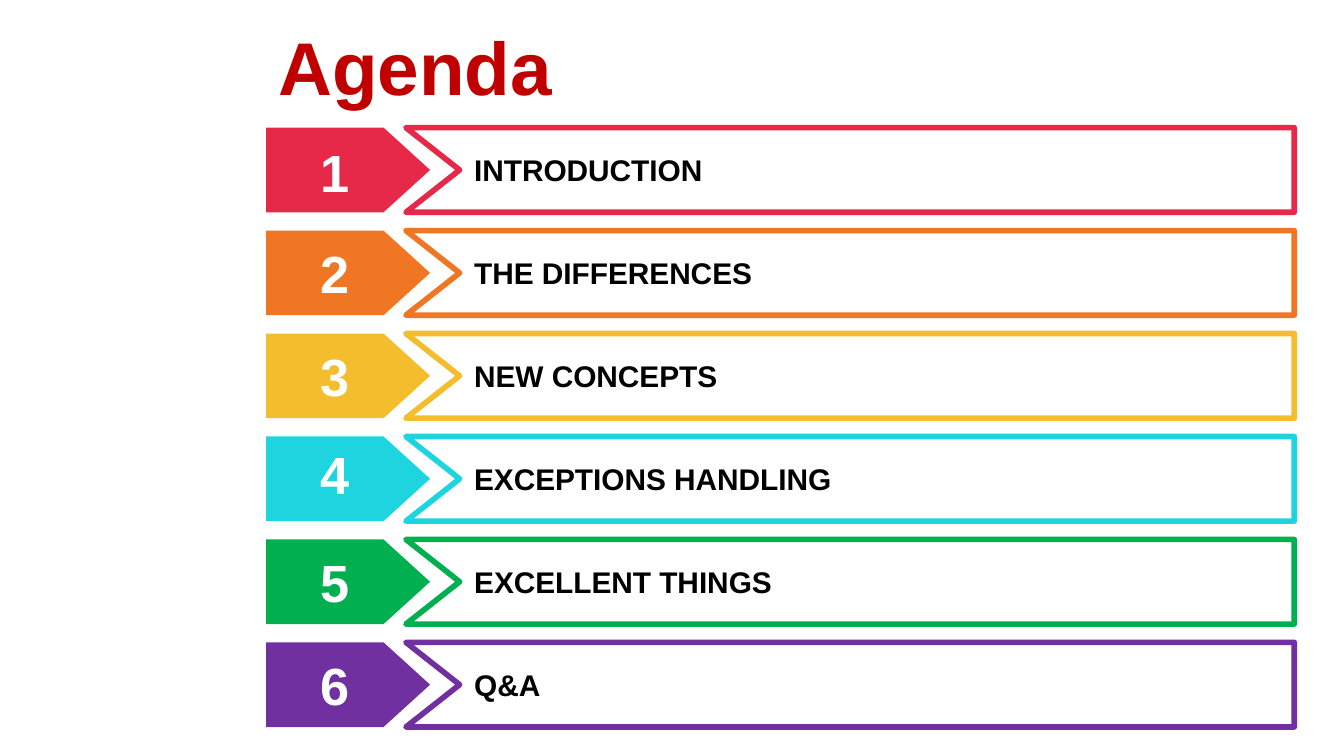
from pptx import Presentation
from pptx.dml.color import RGBColor
from pptx.enum.shapes import MSO_SHAPE as Preset
from pptx.enum.text import MSO_ANCHOR as Anchor, MSO_AUTO_SIZE as AutoSize, PP_ALIGN as Align
from pptx.oxml.ns import qn
from pptx.util import Inches, Pt
from lxml.etree import SubElement

COLORS = {
    "title": "C00000", "label": "000000", "white": "FFFFFF",
    "red": "E62949", "orange": "F07624", "yellow": "F4BD2D",
    "cyan": "1ED4DE", "green": "00B050", "purple": "7030A0",
}
AGENDA = [
    ("INTRODUCTION", "red", 5.37, 0.09),
    ("THE DIFFERENCES", "orange", 5.45, 0.08),
    ("NEW CONCEPTS", "yellow", 4.36, 0.08),
    ("EXCEPTIONS HANDLING", "cyan", 4.36, 0.04),
    ("EXCELLENT THINGS", "green", 3.91, 0.08),
    ("Q&A", "purple", 3.91, 0.08),
]
ROW_LEFT, ROW_WIDTH, ROW_HEIGHT = 1.98, 7.65, 0.63
FIRST_TOP, LAST_TOP = 0.95, 4.78
ROW_PITCH = (LAST_TOP - FIRST_TOP) / (len(AGENDA) - 1)


def rgb(color):
    return RGBColor.from_string(COLORS[color])


def write(frame, text, size, color, align=Align.LEFT, anchor=Anchor.MIDDLE, inset=0.05):
    frame.word_wrap = True
    frame.vertical_anchor = anchor
    frame.margin_left = frame.margin_right = Inches(0.1)
    frame.margin_top = frame.margin_bottom = Inches(inset)
    paragraph = frame.paragraphs[0]
    paragraph.alignment = align
    run = paragraph.add_run()
    run.text = text
    run.font.name = "Arial"
    run.font.size = Pt(size)
    run.font.bold = True
    run.font.color.rgb = rgb(color)


def place_title(slide, left, top, width, height):
    title = slide.shapes.title
    title.left, title.top = Inches(left), Inches(top)
    title.width, title.height = Inches(width), Inches(height)
    write(title.text_frame, "Agenda", 40, "title")
    title.text_frame.auto_size = AutoSize.NONE


def add_text(slide, box, text, size, color, **layout):
    frame = slide.shapes.add_textbox(*map(Inches, box)).text_frame
    write(frame, text, size, color, **layout)
    frame.auto_size = AutoSize.SHAPE_TO_FIT_TEXT


def add_number_tag(slide, box, color):
    tag = slide.shapes.add_shape(Preset.PENTAGON, *map(Inches, box))
    tag.adjustments[0] = 0.55
    tag.shadow.inherit = False
    tag.fill.solid()
    tag.fill.fore_color.rgb = rgb(color)
    tag.line.fill.background()


def add_banner(slide, left, top, width, height, color):
    right, bottom = left + width, top + height
    corners = [(right, top), (right, bottom), (left, bottom), (left + 0.4, top + height / 2)]
    builder = slide.shapes.build_freeform(Inches(left), Inches(top))
    builder.add_line_segments([(Inches(x), Inches(y)) for x, y in corners], close=True)
    banner = builder.convert_to_shape()
    banner.shadow.inherit = False
    banner.fill.solid()
    banner.fill.fore_color.rgb = rgb("white")
    banner.line.color.rgb = rgb(color)
    banner.line.width = Pt(3)
    SubElement(banner.element.spPr.find(qn("a:ln")), qn("a:round"))


def add_agenda_row(slide, left, top, width, height, number, topic, color, topic_width, drop):
    tag_share = 1.04
    add_number_tag(slide, (left, top, 1.22, height), color)
    add_banner(slide, left + tag_share, top, width - tag_share, height, color)
    add_text(slide, (left + 0.18, top + drop, 0.66, 0.47), str(number), 28, "white",
             align=Align.CENTER, inset=0)
    add_text(slide, (left + 1.45, top + 0.13, topic_width, 0.36), topic, 16, "label",
             anchor=Anchor.TOP)


def main():
    prs = Presentation()
    prs.slide_width = Inches(10)
    prs.slide_height = prs.slide_width * 9 // 16
    slide = prs.slides.add_slide(prs.slide_layouts[5])
    place_title(slide, 1.97, 0, 8.23, 0.97)
    for index, (topic, color, topic_width, drop) in enumerate(AGENDA):
        add_agenda_row(slide, ROW_LEFT, FIRST_TOP + index * ROW_PITCH, ROW_WIDTH, ROW_HEIGHT,
                       index + 1, topic, color, topic_width, drop)
    prs.save("out.pptx")


if __name__ == "__main__":
    main()
